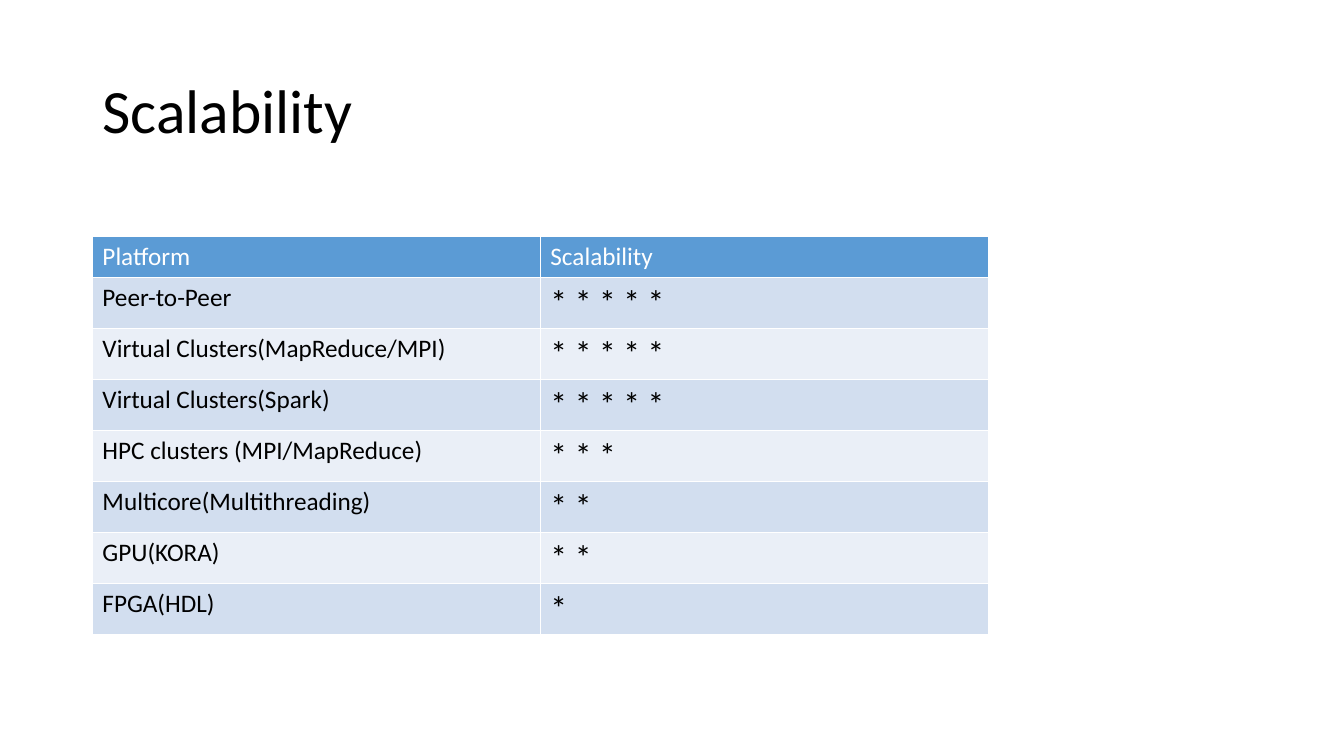
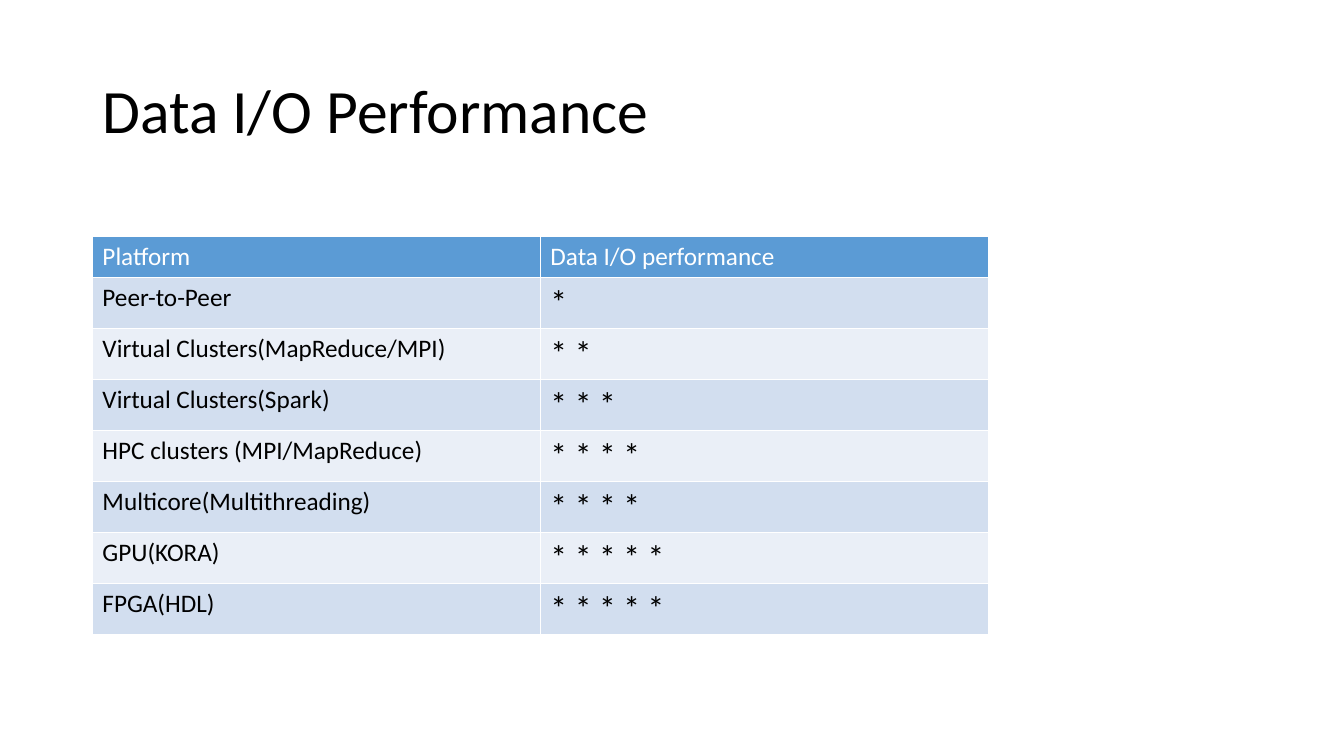
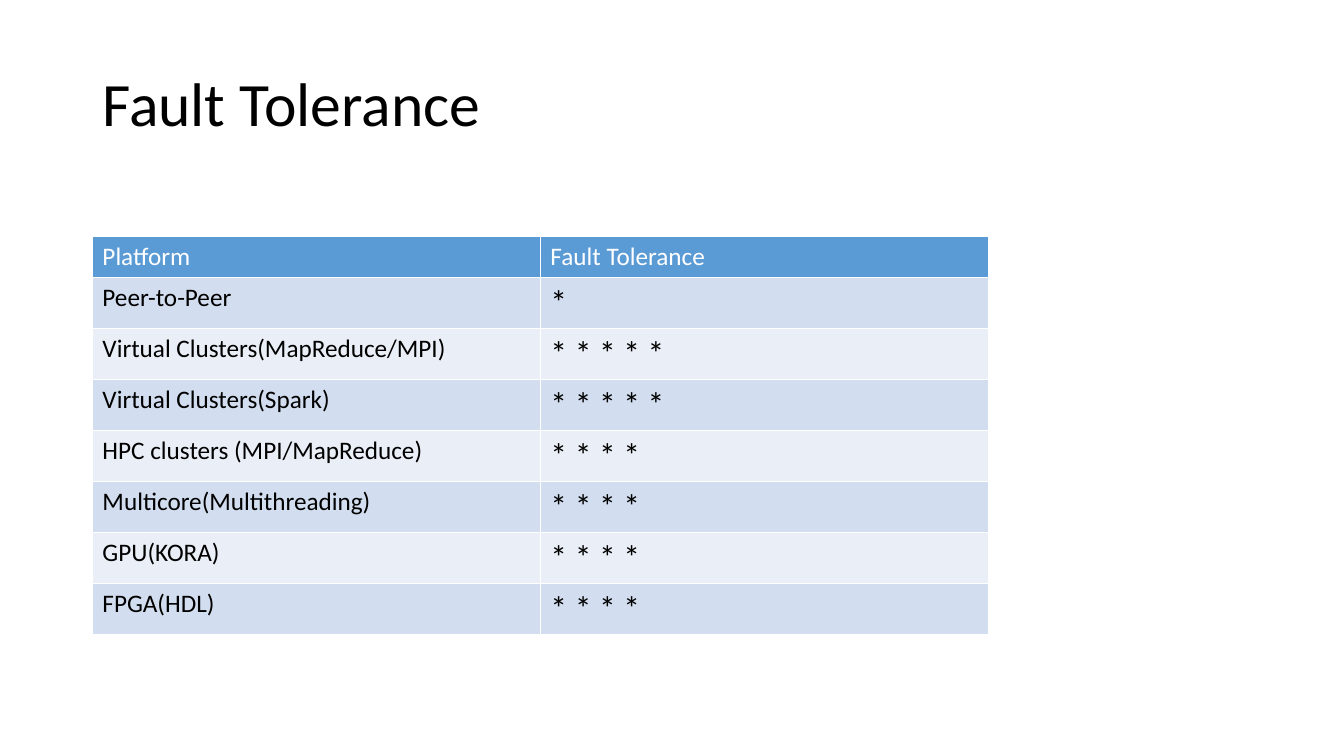
from lxml.etree import SubElement
from pptx import Presentation
from pptx.dml.color import RGBColor
from pptx.enum.text import MSO_ANCHOR
from pptx.oxml.ns import qn
from pptx.util import Inches, Pt

GRID_COLUMNS, GRID_ROWS = 160, 90
SLIDE_WIDTH, SLIDE_HEIGHT = Inches(13.33), Inches(7.5)
LEFT_MARGIN = 11
TITLE_TOP, TITLE_WIDTH, TITLE_HEIGHT = 4.8, 138, 17.4
TABLE_TOP, TABLE_COLUMN = 28.2, 53.33
HEADER_HEIGHT, RATING_HEIGHT = 4.8, 6.08

WHITE, BLACK = "FFFFFF", "000000"
HEADER_FILL = "5B9BD5"
BAND_FILLS = ("EAEFF7", "D2DEEF")

TITLE_FORMAT = {"size": Pt(44), "bold": False, "name": "Calibri"}
LABEL_FORMAT = {**TITLE_FORMAT, "size": Pt(18)}
STARS_FORMAT = {**TITLE_FORMAT, "size": Pt(24)}

PLATFORMS = (
    "Peer-to-Peer",
    "Virtual Clusters(MapReduce/MPI)",
    "Virtual Clusters(Spark)",
    "HPC clusters (MPI/MapReduce)",
    "Multicore(Multithreading)",
    "GPU(KORA)",
    "FPGA(HDL)",
)

COMPARISONS = (
    ("Scalability", "Scalability", (5, 5, 5, 3, 2, 2, 1), TITLE_TOP),
    ("Data I/O Performance", "Data I/O performance", (1, 2, 3, 4, 4, 5, 5), TITLE_TOP),
    ("Fault Tolerance", "Fault Tolerance", (1, 5, 5, 4, 4, 4, 4), 4),
)


def across(columns):
    return round(SLIDE_WIDTH * columns / GRID_COLUMNS)


def down(rows):
    return round(SLIDE_HEIGHT * rows / GRID_ROWS)


def color(hex_string):
    return RGBColor.from_string(hex_string)


def write(text_frame, text, text_color, font_format):
    paragraph = text_frame.paragraphs[0]
    run = paragraph.add_run()
    run.text = text
    for attribute, value in font_format.items():
        setattr(run.font, attribute, value)
    run.font.color.rgb = color(text_color)
    return paragraph


def add_title(slide, title, top):
    heading = slide.shapes.add_textbox(
        across(LEFT_MARGIN), down(top), across(TITLE_WIDTH), down(TITLE_HEIGHT)
    ).text_frame
    for attribute, value in {"word_wrap": True, "vertical_anchor": MSO_ANCHOR.MIDDLE}.items():
        setattr(heading, attribute, value)
    write(heading, title, BLACK, TITLE_FORMAT).line_spacing = 0.9


def add_borders(cell):
    properties = cell._tc.get_or_add_tcPr()
    for side in "LRTB":
        border = SubElement(properties, qn(f"a:ln{side}"), w=str(Pt(1)))
        fill = SubElement(border, qn("a:solidFill"))
        SubElement(fill, qn("a:srgbClr"), val=WHITE)


def fill_cell(cell, text, text_color, font_format, background):
    add_borders(cell)
    cell.fill.solid()
    cell.fill.fore_color.rgb = color(background)
    write(cell.text_frame, text, text_color, font_format)


def add_ratings(slide, criterion, ratings):
    table = slide.shapes.add_table(
        len(PLATFORMS) + 1, 2,
        across(LEFT_MARGIN), down(TABLE_TOP), across(2 * TABLE_COLUMN),
        down(HEADER_HEIGHT + RATING_HEIGHT * len(PLATFORMS)),
    ).table
    for position, row in enumerate(table.rows):
        row.height = down(RATING_HEIGHT if position else HEADER_HEIGHT)
    for position, heading in enumerate(("Platform", criterion)):
        fill_cell(table.cell(0, position), heading, WHITE, LABEL_FORMAT, HEADER_FILL)
    for position, (platform, rating) in enumerate(zip(PLATFORMS, ratings), 1):
        band = BAND_FILLS[position % 2]
        stars = " ".join("*" * rating)
        fill_cell(table.cell(position, 0), platform, BLACK, LABEL_FORMAT, band)
        fill_cell(table.cell(position, 1), stars, BLACK, STARS_FORMAT, band)


def main():
    deck = Presentation()
    for attribute, value in {"slide_width": SLIDE_WIDTH, "slide_height": SLIDE_HEIGHT}.items():
        setattr(deck, attribute, value)
    blank_layout = deck.slide_layouts[6]
    for title, criterion, ratings, title_top in COMPARISONS:
        slide = deck.slides.add_slide(blank_layout)
        add_title(slide, title, title_top)
        add_ratings(slide, criterion, ratings)
    deck.save("out.pptx")


main()
